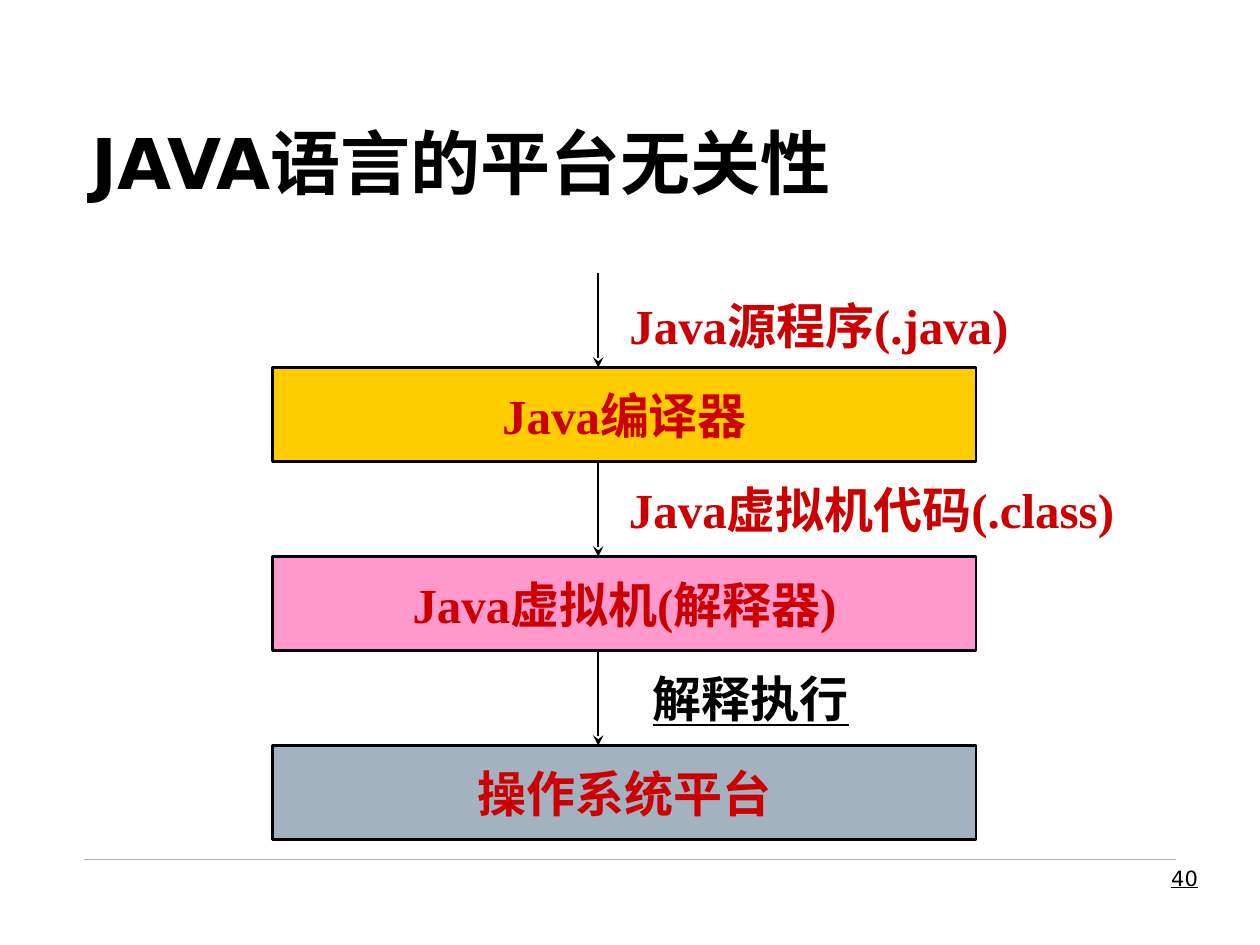
from lxml.etree import SubElement
from pptx import Presentation
from pptx.dml.color import RGBColor
from pptx.enum.shapes import MSO_CONNECTOR, MSO_SHAPE
from pptx.enum.text import MSO_ANCHOR, MSO_AUTO_SIZE, PP_ALIGN
from pptx.oxml.ns import qn
from pptx.util import Cm, Pt

COLORS = {
    "black": "000000",
    "red": "CC0000",
    "yellow": "FFCC00",
    "pink": "FF99CC",
    "slate": "A3B2C1",
    "rule": "B2B2B2",
}
SANS, SERIF = "DejaVu Sans", "Times New Roman"

STAGE_LEFT, STAGE_WIDTH, STAGE_HEIGHT = 5.5, 14.18, 1.9
FIRST_STAGE_TOP, STAGE_PITCH = 7.41, 3.81
ARROW_X, LABEL_LEFT = 12.06, 12.7

# stage text, fill, label of the incoming arrow, label width, label format
STAGES = [
    ("Java编译器", "yellow", "Java源程序(.java)", 7.62, {}),
    ("Java虚拟机(解释器)", "pink", "Java虚拟机代码(.class)", 9.74, {}),
    ("操作系统平台", "slate", "解释执行", 4.87,
     {"color": "black", "underline": True}),
]


def rgb(name):
    return RGBColor.from_string(COLORS[name])


def write(frame, text, size=28, font=SERIF, color="red", bold=True,
          underline=None, align=PP_ALIGN.CENTER, anchor=MSO_ANCHOR.MIDDLE,
          wrap=False):
    frame.word_wrap = wrap
    frame.auto_size = MSO_AUTO_SIZE.NONE
    frame.vertical_anchor = anchor
    paragraph = frame.paragraphs[0]
    paragraph.alignment = align
    run = paragraph.add_run()
    run.text = text
    run.font.size = Pt(size)
    run.font.name = font
    run.font.bold = bold
    run.font.underline = underline
    run.font.color.rgb = rgb(color)


def add_title(slide, text):
    title = slide.shapes.title
    title.left, title.top = Cm(1.6), Cm(0.85)
    title.width, title.height = Cm(22.22), Cm(3.38)
    write(title.text_frame, text, size=40, font=SANS, color="black",
          align=PP_ALIGN.LEFT, anchor=MSO_ANCHOR.BOTTOM, wrap=True)


def add_label(slide, text, left, top, width, height, **text_format):
    label = slide.shapes.add_textbox(Cm(left), Cm(top), Cm(width), Cm(height))
    write(label.text_frame, text, **text_format)


def add_stage(slide, text, top, fill):
    stage = slide.shapes.add_shape(
        MSO_SHAPE.RECTANGLE, Cm(STAGE_LEFT), Cm(top),
        Cm(STAGE_WIDTH), Cm(STAGE_HEIGHT))
    stage.shadow.inherit = False
    stage.fill.solid()
    stage.fill.fore_color.rgb = rgb(fill)
    stage.line.color.rgb = rgb("black")
    stage.line.width = Pt(1.5)
    write(stage.text_frame, text)


def add_line(slide, start, end, color, width, arrow=False):
    line = slide.shapes.add_connector(
        MSO_CONNECTOR.STRAIGHT, *map(Cm, start + end))
    line.line.color.rgb = rgb(color)
    line.line.width = Pt(width)
    if arrow:
        SubElement(line.line._get_or_add_ln(), qn("a:tailEnd"), type="stealth")
    SubElement(line._element.spPr, qn("a:effectLst"))


def main():
    prs = Presentation()
    prs.slide_width, prs.slide_height = Cm(25.4), Cm(19.05)
    slide = prs.slides.add_slide(prs.slide_layouts[5])

    add_line(slide, (1.7, 17.32), (23.7, 17.32), "rule", 0.25)
    add_title(slide, "JAVA语言的平台无关性")

    gap = STAGE_PITCH - STAGE_HEIGHT
    for index, (name, fill, label, width, label_format) in enumerate(STAGES):
        top = FIRST_STAGE_TOP + index * STAGE_PITCH
        add_stage(slide, name, top, fill)
        add_line(slide, (ARROW_X, top - gap), (ARROW_X, top), "black", 1,
                 arrow=True)
        # The first label sits slightly lower, clear of the arrow's start.
        inset = 0.2 if index == 0 else 0
        add_label(slide, label, LABEL_LEFT, top - gap + inset, width,
                  gap - inset, **label_format)

    add_label(slide, "40", 18.9, 17.32, 5.5, 1.32, size=12, font=SANS,
              color="black", bold=False, underline=True,
              align=PP_ALIGN.RIGHT, anchor=MSO_ANCHOR.TOP, wrap=True)
    prs.save("out.pptx")


if __name__ == "__main__":
    main()
